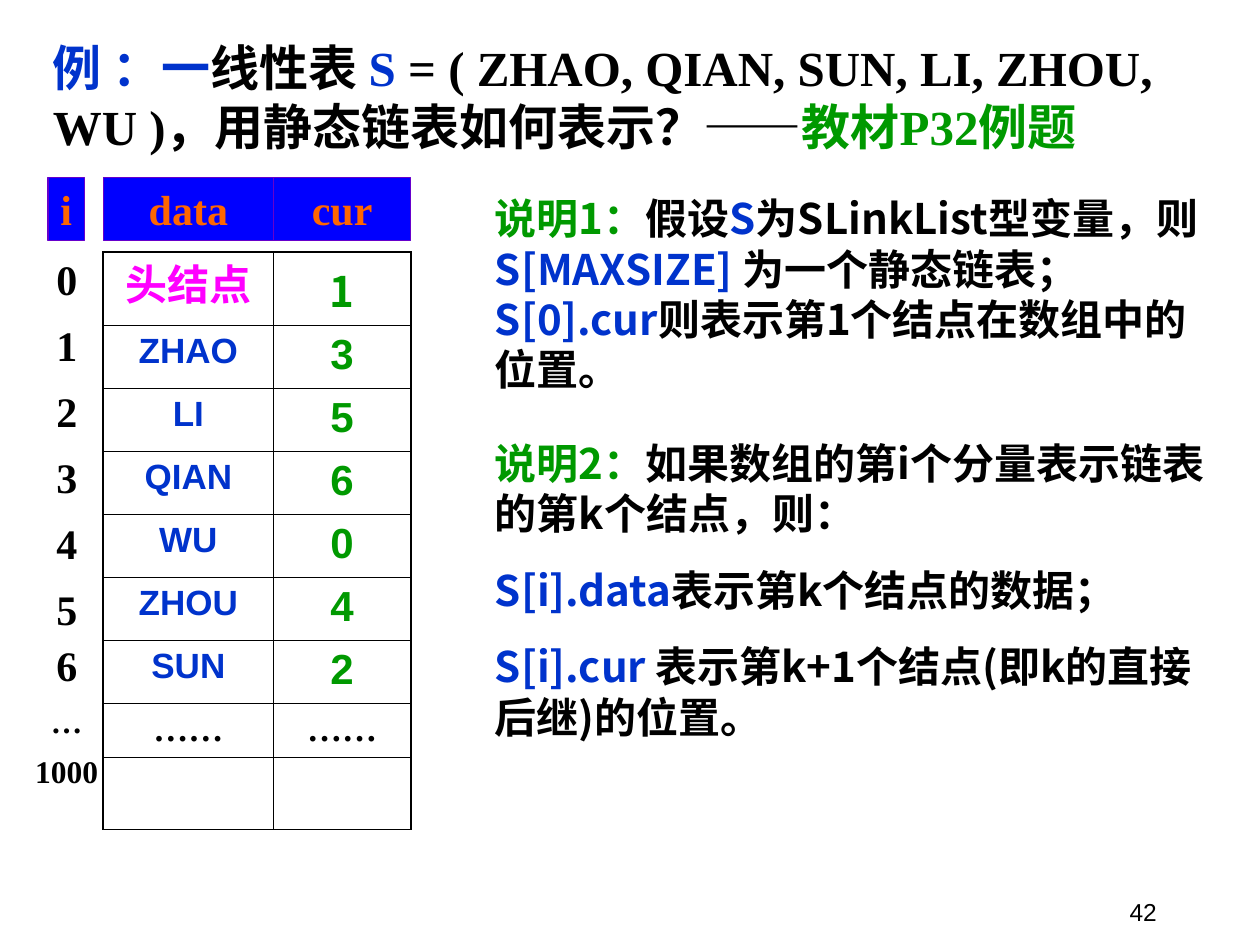
from lxml import etree
from pptx import Presentation
from pptx import util as u
from pptx.dml.color import RGBColor
from pptx.enum import shapes, text
from pptx.oxml import ns

COLORS = {
    "black": "000000", "blue": "0033CC", "green": "009900", "pink": "FF00FF",
    "orange": "FF6600", "header": "0000FF", "edge": "6600CC",
}
SERIF, SANS, HAN = "Times New Roman", "Arial", "Noto Sans CJK SC"
LEFT, CENTER, RIGHT = text.PP_ALIGN.LEFT, text.PP_ALIGN.CENTER, text.PP_ALIGN.RIGHT


def color(name):
    return RGBColor.from_string(COLORS[name])


def write(para, spans, size=24, font=SERIF, bold=True, align=LEFT, before=0):
    para.alignment = align
    para.space_before = u.Pt(before)
    for words, name in spans:
        span = para.add_run()
        span.text = words
        span.font.size = u.Pt(size)
        span.font.name = font
        span.font.bold = bold
        span.font.color.rgb = color(name)
        if any(ord(letter) > 0x3000 for letter in words):
            east = etree.SubElement(span.font._element, ns.qn("a:ea"))
            east.set("typeface", HAN)


class Slide:
    def __init__(self, deck):
        self.page = deck.slides.add_slide(deck.slide_layouts[5])

    def fill_frame(self, box, paras, wrap=True, anchor=text.MSO_ANCHOR.TOP, **style):
        frame = box.text_frame
        frame.word_wrap = wrap
        frame.auto_size = text.MSO_AUTO_SIZE.NONE
        frame.vertical_anchor = anchor
        for number, (spans, extra) in enumerate(paras):
            para = frame.add_paragraph() if number else frame.paragraphs[0]
            write(para, spans, **{**style, **extra})

    def title(self, place, spans, **style):
        box = self.page.shapes.title
        box.left, box.top, box.width, box.height = map(u.Inches, place)
        self.fill_frame(box, [(spans, {})], **style)

    def text(self, place, paras, **style):
        box = self.page.shapes.add_textbox(*map(u.Inches, place))
        self.fill_frame(box, paras, **style)

    def header(self, place, words, **style):
        box = self.page.shapes.add_shape(shapes.MSO_SHAPE.RECTANGLE, *map(u.Inches, place))
        box.shadow.inherit = False
        box.fill.solid()
        box.fill.fore_color.rgb = color("header")
        box.line.color.rgb = color("edge")
        box.line.width = u.Pt(0.74)
        self.fill_frame(box, [([(words, "orange")], {})], **style)

    def border(self, cell, side, width):
        line = etree.SubElement(cell._tc.get_or_add_tcPr(), ns.qn("a:ln" + side))
        line.set("w", str(u.Pt(width)))
        fill = etree.SubElement(line, ns.qn("a:solidFill"))
        etree.SubElement(fill, ns.qn("a:srgbClr")).set("val", COLORS["black"])

    def table(self, place, widths, heights, rows):
        grid = self.page.shapes.add_table(len(rows), len(widths), *map(u.Inches, place)).table
        grid.first_row = grid.horz_banding = False
        for column, width in zip(grid.columns, widths):
            column.width = u.Inches(width)
        for row, height in zip(grid.rows, heights):
            row.height = u.Inches(height)
        for r, row in enumerate(rows):
            for c, (words, style) in enumerate(row):
                cell = grid.cell(r, c)
                outer = {"L": c == 0, "R": c == len(widths) - 1,
                         "T": r == 0, "B": r == len(rows) - 1}
                for side, edge in outer.items():
                    self.border(cell, side, 1.08 if edge else 0.45)
                cell.fill.background()
                if words:
                    style = dict(style)
                    name = style.pop("name")
                    write(cell.text_frame.paragraphs[0], [(words, name)], align=CENTER, **style)


deck = Presentation()
deck.slide_width, deck.slide_height = u.Inches(10), u.Inches(7.5)
slide = Slide(deck)

slide.title((0.32, 0.25, 9.51, 1.04), [
    ("例 ：一", "blue"), ("线性表 ", "black"), ("S", "blue"),
    (" = ( ZHAO, QIAN, SUN, LI, ZHOU, WU )，用静态链表如何表示？——", "black"),
    ("教材P32例题 ", "green")], size=28, before=17.5)

for words, left, width in (("data", 0.82, 1.35), ("cur", 2.17, 1.09)):
    slide.header((left, 1.41, width, 0.5), words, align=CENTER)

data_style = {"name": "blue", "size": 20, "font": SANS, "before": 5}
cur_style = {"name": "green", "font": SANS, "before": 6}
dots = ("……", {"name": "black", "size": 20, "before": 5})
nodes = [("ZHAO", 3), ("LI", 5), ("QIAN", 6), ("WU", 0), ("ZHOU", 4), ("SUN", 2)]
rows = [[("", {}), ("1", {**cur_style, "font": HAN})]]
rows += [[(data, data_style), (str(cur), cur_style)] for data, cur in nodes]
rows += [[dots, dots], [("", {}), ("", {})]]
slide.table((0.82, 2, 2.44, 4.57), (1.35, 1.09),
            [0.57] + [0.5] * len(nodes) + [0.43, 0.57], rows)

indexes = [([(str(n), "black")], {"before": 9 if n < 6 else 3}) for n in range(7)]
indexes += [([(words, "black")], {"size": 18, "before": 6.8}) for words in ("…", "1000")]
slide.text((0.18, 1.96, 0.7, 4.36), indexes, wrap=False, align=CENTER)

slide.text((3.83, 1.48, 6.01, 1.7), [
    ([("说明1：", "green"), ("假设", "black"), ("S", "blue"),
      ("为SLinkList型变量，则", "black"), ("S[MAXSIZE] ", "blue"),
      ("为一个静态链表；", "black")], {}),
    ([("S[0].cur", "blue"), ("则表示第1个结点在数组中的位置。", "black")], {}),
], font=HAN)

slide.text((3.83, 3.42, 6.01, 2.52), [
    ([("说明2：", "green"), ("如果数组的第i个分量表示链表的第k个结点，则：", "black")], {}),
    ([("S[i].data", "blue"), ("表示第k个结点的数据；", "black")], {}),
    ([("S[i].cur ", "blue"), ("表示第k+1个结点(即k的直接后继)的位置。", "black")], {}),
], font=HAN, before=15)

slide.header((0.38, 1.41, 0.29, 0.5), "i", wrap=False)
slide.text((0.82, 2, 1.35, 0.5), [([("头结点", "pink")], {})],
           font=HAN, align=CENTER, before=15)
slide.text((7.2, 6.9, 2.08, 0.5), [([("42", "black")], {})], size=14, font=SANS,
           bold=False, align=RIGHT, anchor=text.MSO_ANCHOR.BOTTOM)

deck.save("out.pptx")
